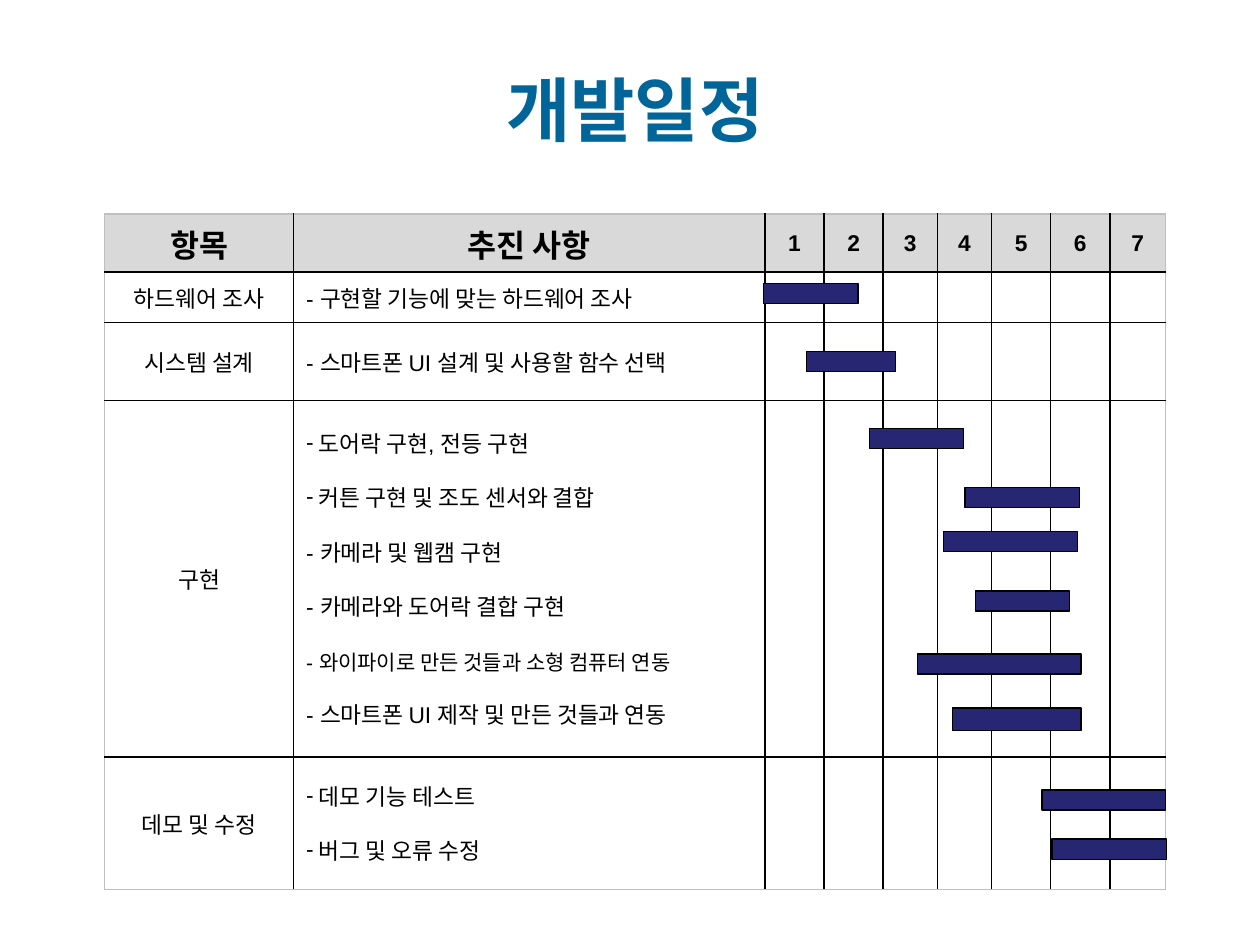
from dataclasses import dataclass

from lxml.etree import SubElement
from pptx import Presentation
from pptx.dml.color import RGBColor
from pptx.enum.shapes import MSO_SHAPE
from pptx.enum.text import MSO_ANCHOR, PP_ALIGN
from pptx.oxml.ns import qn
from pptx.util import Inches, Pt


@dataclass(frozen=True)
class Theme:
    title_font: str = "League Spartan"
    body_font: str = "Arial"
    title_color: str = "006699"
    ink: str = "000000"
    header_fill: str = "D9D9D9"
    frame: str = "BFBFBF"
    bar_fill: str = "262673"
    title_size: float = 40
    heading_size: float = 18
    body_size: float = 13
    small_size: float = 12
    line_height: float = 18
    item_gap: float = 13
    border_width: float = 1
    bar_outline: float = 0.75


BULLET = "•"  # marks an item whose dash is a list bullet
SMALL_ITEM = "와이파이로 만든 것들과 소형 컴퓨터 연동"

COLUMN_WIDTHS = [1.5, 3.74, 0.47, 0.47, 0.43, 0.43, 0.47, 0.47, 0.44]
ROW_HEIGHTS = [0.46, 0.39, 0.62, 2.83, 1.05]
HEADINGS = ["항목", "추진 사항"]
MONTHS = [str(month) for month in range(1, 8)]
STAGES = [
    ("하드웨어 조사", ["- 구현할 기능에 맞는 하드웨어 조사"]),
    ("시스템 설계", ["- 스마트폰 UI 설계 및 사용할 함수 선택"]),
    ("구현", [
        BULLET + "도어락 구현, 전등 구현",
        BULLET + "커튼 구현 및 조도 센서와 결합",
        "- 카메라 및 웹캠 구현",
        "- 카메라와 도어락 결합 구현",
        "- " + SMALL_ITEM,
        "- 스마트폰 UI 제작 및 만든 것들과 연동",
    ]),
    ("데모 및 수정", [BULLET + "데모 기능 테스트", BULLET + "버그 및 오류 수정"]),
]
# left, top, width, height
BARS = [
    (6.06, 2.25, 0.75, 0.16),
    (6.4, 2.79, 0.71, 0.16),
    (6.9, 3.4, 0.75, 0.16),
    (7.66, 3.87, 0.91, 0.16),
    (7.49, 4.22, 1.06, 0.16),
    (7.74, 4.69, 0.75, 0.16),
    (7.28, 5.19, 1.3, 0.16),
    (7.56, 5.62, 1.02, 0.18),
    (8.27, 6.27, 0.98, 0.16),
    (8.35, 6.66, 0.91, 0.16),
]


class ScheduleSlide:
    def __init__(self, slide, theme):
        self.slide = slide
        self.theme = theme

    def style(self, paragraph, size, bold=False, color=None, font=None):
        for span in paragraph.runs:
            span.font.size = Pt(size)
            span.font.bold = bold
            span.font.name = font or self.theme.body_font
            span.font.color.rgb = RGBColor.from_string(color or self.theme.ink)

    def title(self, text, left, top, width, height):
        box = self.slide.shapes.add_textbox(
            Inches(left), Inches(top), Inches(width), Inches(height))
        frame = box.text_frame
        frame.word_wrap = True
        frame.vertical_anchor = MSO_ANCHOR.MIDDLE
        frame.text = text
        para = frame.paragraphs[0]
        para.alignment = PP_ALIGN.CENTER
        self.style(para, self.theme.title_size, True,
                   self.theme.title_color, self.theme.title_font)

    def grid(self, left, top):
        """Add the empty table with its fills and borders."""
        shape = self.slide.shapes.add_table(
            len(ROW_HEIGHTS), len(COLUMN_WIDTHS), Inches(left), Inches(top),
            Inches(sum(COLUMN_WIDTHS)), Inches(sum(ROW_HEIGHTS)))
        table = shape.table
        table.first_row = table.horz_banding = False
        for column, width in zip(table.columns, COLUMN_WIDTHS):
            column.width = Inches(width)
        for row, height in zip(table.rows, ROW_HEIGHTS):
            row.height = Inches(height)
        last_row, last_column = len(ROW_HEIGHTS) - 1, len(COLUMN_WIDTHS) - 1
        for r, row in enumerate(table.rows):
            for c, cell in enumerate(row.cells):
                cell.vertical_anchor = MSO_ANCHOR.MIDDLE
                self.borders(cell, {"lnL": c == 0, "lnR": c == last_column,
                                    "lnT": r == 0, "lnB": r == last_row})
                if r == 0:
                    cell.fill.solid()
                    cell.fill.fore_color.rgb = RGBColor.from_string(self.theme.header_fill)
                else:
                    cell.fill.background()
        return table

    def borders(self, cell, outer_sides):
        """Draw the four sides, the outer ones in the frame colour."""
        properties = cell._tc.get_or_add_tcPr()
        for side, is_outer in outer_sides.items():
            line = SubElement(properties, qn(f"a:{side}"),
                              w=str(Pt(self.theme.border_width)))
            fill = SubElement(line, qn("a:solidFill"))
            SubElement(fill, qn("a:srgbClr"),
                       val=self.theme.frame if is_outer else self.theme.ink)

    def label(self, cell, text, size, bold=False):
        cell.text_frame.text = text
        para = cell.text_frame.paragraphs[0]
        para.alignment = PP_ALIGN.CENTER
        self.style(para, size, bold)

    def tasks(self, cell, items):
        frame = cell.text_frame
        for index, item in enumerate(items):
            para = frame.add_paragraph() if index else frame.paragraphs[0]
            para.text = item.removeprefix(BULLET)
            if len(items) > 1:
                para.line_spacing = Pt(self.theme.line_height)
                para.space_before = Pt(self.theme.item_gap if index else 0)
            if item.startswith(BULLET):
                self.dash(para)
            small = item.endswith(SMALL_ITEM)
            self.style(para, self.theme.small_size if small else self.theme.body_size)

    def dash(self, para):
        """Give the paragraph a hanging dash as its bullet."""
        properties = para._p.get_or_add_pPr()
        properties.set("marL", str(Inches(0.1)))
        properties.set("indent", str(-Inches(0.1)))
        SubElement(properties, qn("a:buFont"), typeface=self.theme.body_font)
        SubElement(properties, qn("a:buChar"), char="-")

    def bar(self, left, top, width, height):
        shape = self.slide.shapes.add_shape(
            MSO_SHAPE.RECTANGLE, Inches(left), Inches(top), Inches(width), Inches(height))
        shape.shadow.inherit = False
        shape.fill.solid()
        shape.fill.fore_color.rgb = RGBColor.from_string(self.theme.bar_fill)
        shape.line.color.rgb = RGBColor.from_string(self.theme.ink)
        shape.line.width = Pt(self.theme.bar_outline)


def main():
    deck = Presentation()
    deck.slide_width, deck.slide_height = Inches(10), Inches(7.5)
    theme = Theme()
    schedule = ScheduleSlide(deck.slides.add_slide(deck.slide_layouts[6]), theme)

    schedule.title("개발일정", 0.58, 0.3, 8.92, 1.12)
    table = schedule.grid(0.83, 1.7)
    for column, heading in enumerate(HEADINGS + MONTHS):
        size = theme.heading_size if heading in HEADINGS else theme.body_size
        schedule.label(table.cell(0, column), heading, size, bold=True)
    for row, (stage, items) in enumerate(STAGES, start=1):
        schedule.label(table.cell(row, 0), stage, theme.body_size)
        schedule.tasks(table.cell(row, 1), items)
    for bar in BARS:
        schedule.bar(*bar)

    deck.save("out.pptx")


if __name__ == "__main__":
    main()
